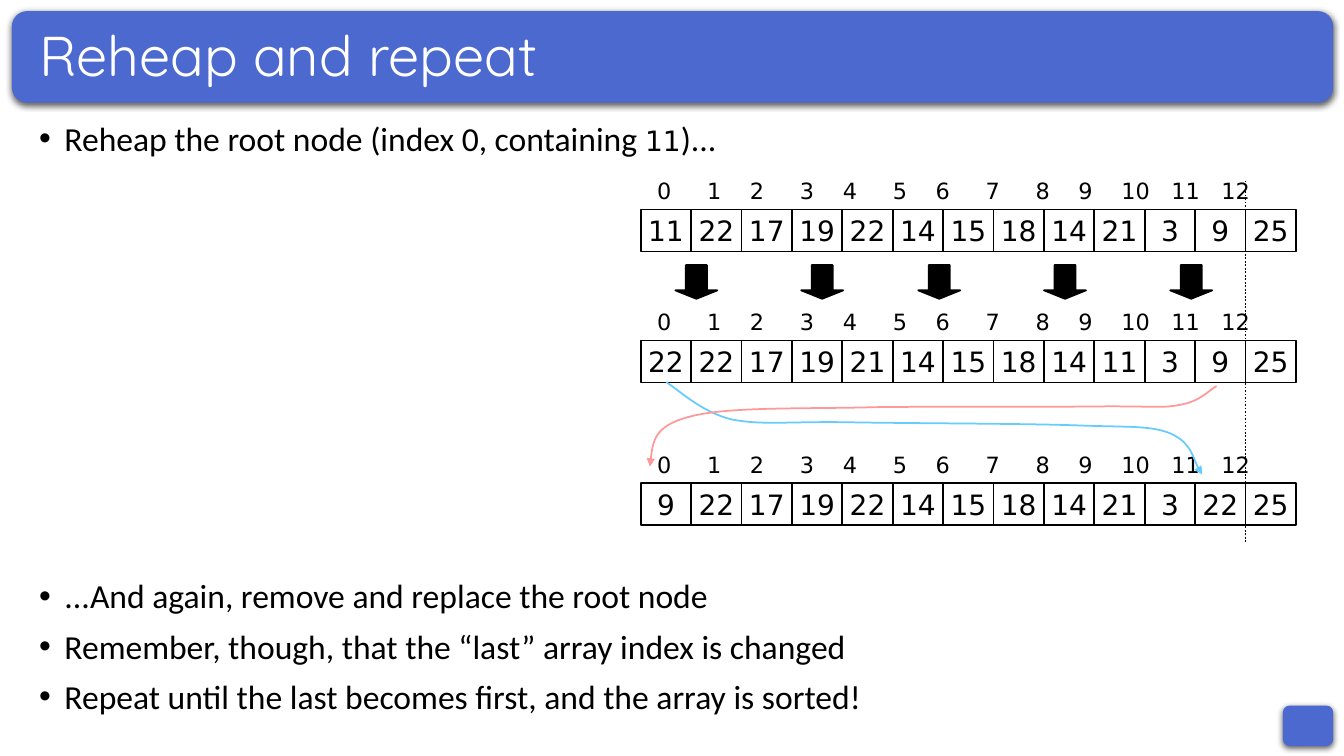
"""Build the heap sort slide "Reheap and repeat"."""
from lxml.etree import SubElement
from pptx import Presentation
from pptx.dml.color import RGBColor
from pptx.enum.dml import MSO_LINE
from pptx.enum.shapes import MSO_CONNECTOR, MSO_SHAPE
from pptx.enum.text import MSO_ANCHOR, PP_ALIGN
from pptx.oxml.ns import qn
from pptx.util import Cm, Pt


def rgb(value):
    """Return a colour from a hex string."""
    return RGBColor.from_string(value)


def write(p, text, name, size, color="000000"):
    """Add a formatted run to a paragraph."""
    r = p.add_run()
    r.text = text
    for key, value in {"name": name, "size": Pt(size)}.items():
        setattr(r.font, key, value)
    r.font.color.rgb = rgb(color)


MONO = "DejaVu Sans"
BODY = "Calibri"
LINE_WIDTH = Pt(1.25)

prs = Presentation()
prs.slide_width, prs.slide_height = Cm(33.87), Cm(19.05)
s = prs.slides.add_slide(prs.slide_layouts[6])

for box in [(32.33, 17.78, 1.27, 1.02), (0.3, 0.28, 33.3, 2.31)]:
    sp = s.shapes.add_shape(MSO_SHAPE.ROUNDED_RECTANGLE, *map(Cm, box))
    sp.fill.solid()
    sp.fill.fore_color.rgb = rgb("4C69D0")
    sp.line.fill.background()
    effects = SubElement(sp._element.spPr, qn("a:effectLst"))
    shadow = SubElement(effects, qn("a:outerShdw"), blurRad=str(Pt(4.5)),
                        dist=str(Pt(1.5)), dir="5400000", rotWithShape="0")
    black = SubElement(shadow, qn("a:srgbClr"), val="000000")
    SubElement(black, qn("a:alpha"), val="63000")

tf = s.shapes.add_textbox(Cm(0.74), Cm(0.64), Cm(32.4), Cm(1.65)).text_frame
tf.word_wrap = True
tf.vertical_anchor = MSO_ANCHOR.MIDDLE
tf.paragraphs[0].line_spacing = 0.9
write(tf.paragraphs[0], "Reheap and repeat", "Quicksand", 40, "FFFFFF")

bullets = [
    (10, [("Reheap the root node (index 0, containing ", BODY, 24),
          ("11", MONO, 20), (")...", BODY, 24)]),
    (301, [("...And again, remove and replace the root node", BODY, 24)]),
    (10, [("Remember, though, that the “last” array index is changed", BODY, 24)]),
    (10, [("Repeat until the last becomes first, and the array is sorted!", BODY, 24)]),
]
tf = s.shapes.add_textbox(Cm(0.74), Cm(2.95), Cm(32.4), Cm(15.49)).text_frame
tf.word_wrap = True
for i, (before, runs) in enumerate(bullets):
    p = tf.add_paragraph() if i else tf.paragraphs[0]
    for key, value in {"line_spacing": 0.9, "space_before": Pt(before)}.items():
        setattr(p, key, value)
    pPr = p._p.get_or_add_pPr()
    pPr.set("marL", str(Cm(0.635)))
    pPr.set("indent", str(-Cm(0.635)))
    SubElement(pPr, qn("a:buFont"), typeface="Arial")
    SubElement(pPr, qn("a:buChar"), char="•")
    for run in runs:
        write(p, *run)

arrays = [
    (5.28, [11, 22, 17, 19, 22, 14, 15, 18, 14, 21, 3, 9, 25]),
    (8.58, [22, 22, 17, 19, 21, 14, 15, 18, 14, 11, 3, 9, 25]),
    (12.17, [9, 22, 17, 19, 22, 14, 15, 18, 14, 21, 3, 22, 25]),
]
index_stops = [2, 9, 15, 22, 28, 35, 41, 48, 55, 61, 67, 74, 81]
for top, values in arrays:
    group = s.shapes.add_group_shape()
    for i, value in enumerate(values):
        sp = group.shapes.add_shape(MSO_SHAPE.RECTANGLE, Cm(16.15 + 1.27 * i),
                                    Cm(top), Cm(1.27), Cm(1.06))
        sp.shadow.inherit = False
        sp.fill.background()
        sp.line.color.rgb = rgb("000000")
        sp.line.width = LINE_WIDTH
        tf = sp.text_frame
        tf.word_wrap = False
        tf.vertical_anchor = MSO_ANCHOR.MIDDLE
        tf.paragraphs[0].alignment = PP_ALIGN.CENTER
        write(tf.paragraphs[0], str(value), MONO, 20)

    tf = group.shapes.add_textbox(Cm(15.95), Cm(top - 0.93), Cm(17.58), Cm(0.93)).text_frame
    tf.word_wrap = True
    p = tf.paragraphs[0]
    tabs = SubElement(p._p.get_or_add_pPr(), qn("a:tabLst"))
    for stop in index_stops:
        SubElement(tabs, qn("a:tab"), pos=str(Cm(0.18 * stop)), algn="l")
    write(p, "".join(f"\t{i}" for i in range(len(values))), MONO, 16)

swap_curves = [
    ("66CCFF", [(16.79, 9.63), (17.07, 9.8), (17.68, 10.39), (18.44, 10.57),
                (19.2, 10.72), (19.86, 10.62), (21.31, 10.64),
                (22.78, 10.67), (25.78, 10.67), (27.15, 10.72),
                (28.5, 10.77), (28.98, 10.72), (29.49, 10.92),
                (30.02, 11.15), (30.12, 11.76), (30.3, 11.96)]),
    ("FF9999", [(30.66, 9.73), (30.51, 9.8), (30.25, 10.11), (29.79, 10.19),
                (29.34, 10.29), (29.18, 10.24), (27.91, 10.24),
                (26.62, 10.26), (23.83, 10.24), (22.1, 10.26),
                (20.35, 10.31), (18.39, 10.24), (17.42, 10.49),
                (16.48, 10.72), (16.43, 11.25), (16.38, 11.76)]),
]
for color, points in swap_curves:
    start, *rest = [(Cm(x), Cm(y)) for x, y in points]
    builder = s.shapes.build_freeform(*start)
    builder.add_line_segments(rest, close=False)
    sp = builder.convert_to_shape()
    sp.shadow.inherit = False
    sp.fill.background()
    sp.line.color.rgb = rgb(color)
    sp.line.width = LINE_WIDTH
    SubElement(sp.line._get_or_add_ln(), qn("a:tailEnd"), type="triangle")
    segments = list(sp._element.iter(qn("a:lnTo")))
    outline = segments[0].getparent()
    for i in range(0, len(segments), 3):
        bezier = SubElement(outline, qn("a:cubicBezTo"))
        for segment in segments[i:i + 3]:
            bezier.append(segment[0])
            outline.remove(segment)

for left in [17.02, 20.19, 23.14, 26.31, 29.49]:
    sp = s.shapes.add_shape(MSO_SHAPE.DOWN_ARROW, Cm(left), Cm(6.68), Cm(1.06), Cm(0.85))
    sp.adjustments[0], sp.adjustments[1] = 0.5, 0.25
    sp.shadow.inherit = False
    sp.fill.solid()
    sp.fill.fore_color.rgb = rgb("000000")
    sp.line.color.rgb = rgb("000000")
    sp.line.width = LINE_WIDTH

divider = s.shapes.add_connector(MSO_CONNECTOR.STRAIGHT, Cm(31.39), Cm(4.55),
                                 Cm(31.39), Cm(13.67))
divider.line.color.rgb = rgb("000000")
for key, value in {"width": LINE_WIDTH, "dash_style": MSO_LINE.ROUND_DOT}.items():
    setattr(divider.line, key, value)
SubElement(divider._element.spPr, qn("a:effectLst"))

prs.save("out.pptx")
